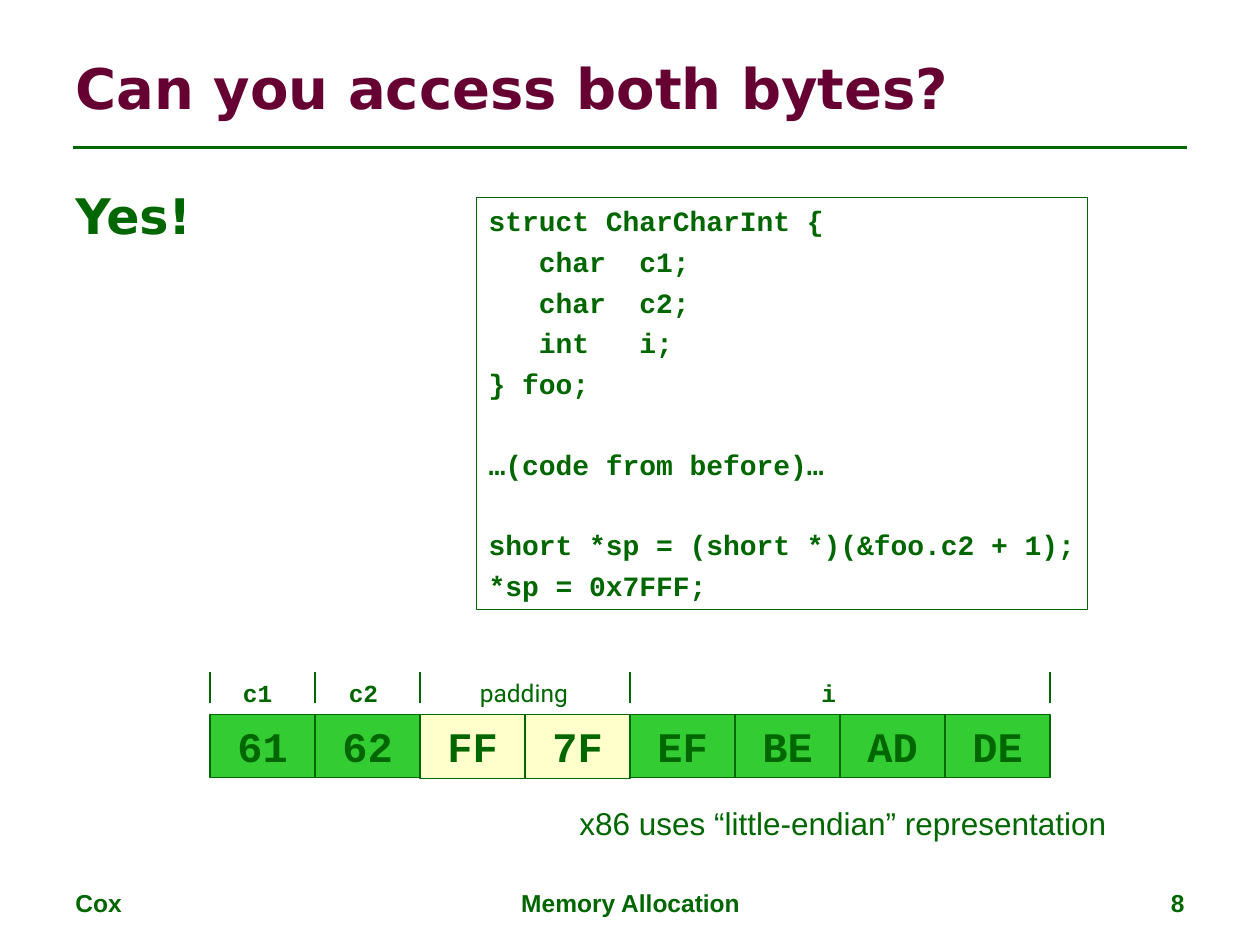
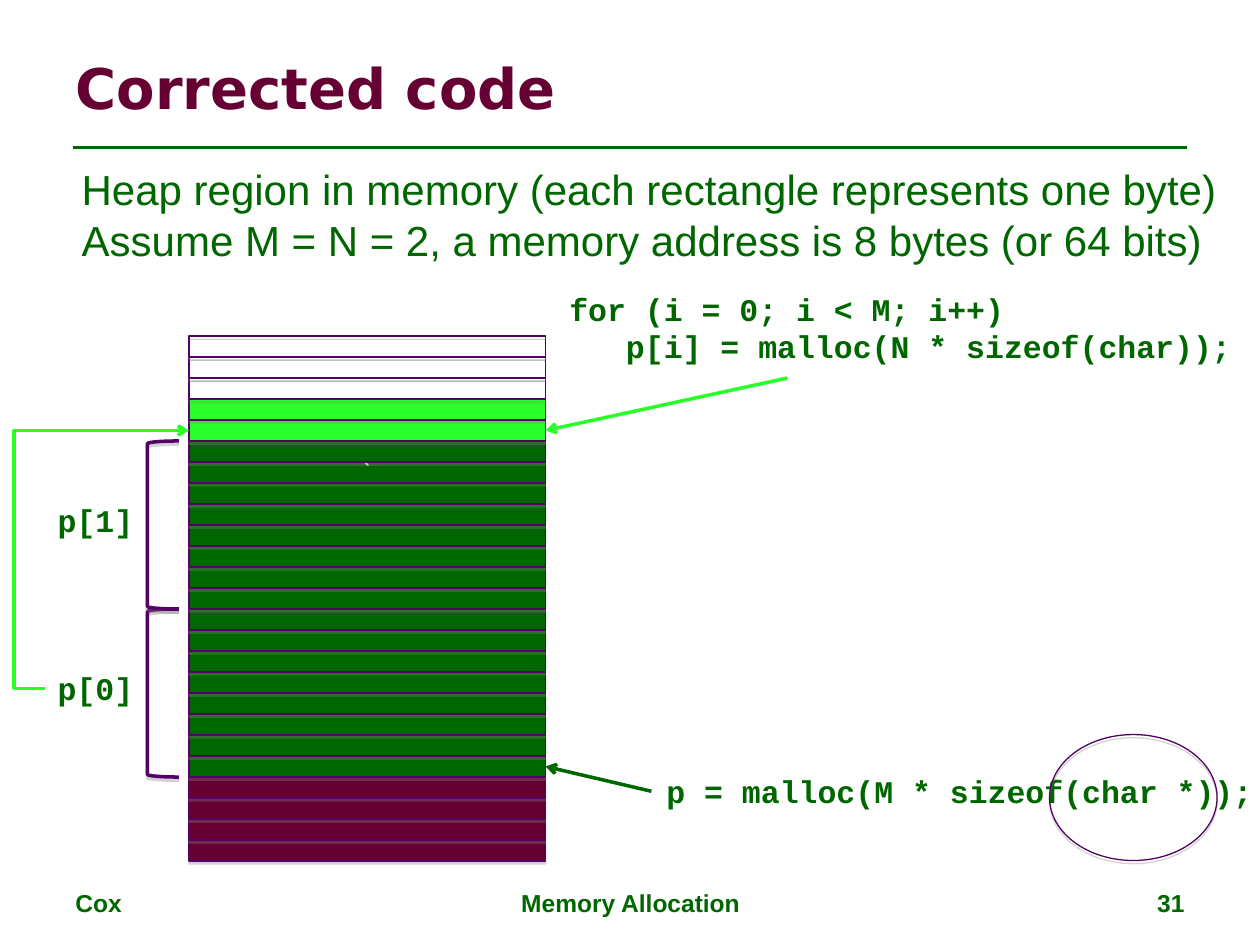
from dataclasses import dataclass
from lxml import etree
from pptx import Presentation
from pptx.dml.color import RGBColor
from pptx.enum.shapes import MSO_CONNECTOR as Link, MSO_SHAPE as Kind
from pptx.enum.text import MSO_ANCHOR as Anchor, MSO_AUTO_SIZE as Fit, PP_ALIGN as Align
from pptx.oxml.ns import qn
from pptx.util import Inches, Pt


@dataclass(frozen=True)
class Theme:
    # Colours
    green: str = "006600"
    wine: str = "660033"
    leaf: str = "33CC33"
    lime: str = "2BFF2B"
    cream: str = "FFFFCC"
    plum: str = "550066"
    grey: str = "808080"
    white: str = "FFFFFF"
    # Fonts
    head: str = "DejaVu Sans"
    sans: str = "Arial"
    mono: str = "Courier New"
    note: str = "Roboto"
    # Type sizes, code spacing and line widths
    title: int = 32
    lead: int = 28
    large: int = 24
    body: int = 18
    code: int = 16
    small: int = 14
    lead_in: int = 4
    gap: int = 27
    thin: float = 0.75
    rule: float = 1.5
    thick: float = 2


T = Theme()

# Content: shared footer
FOOT = [("Cox", 0.5, 2.33, Align.LEFT), ("Memory Allocation", 3.42, 3.17, Align.CENTER)]
PAGE = (7.17, 2.33, Align.RIGHT)

# Content: byte access slide
STRUCT = [
    "struct CharCharInt {",
    "   char  c1;",
    "   char  c2;",
    "   int   i;",
    "} foo;",
    "…(code from before)…",
    "short *sp = (short *)(&foo.c2 + 1);",
    "*sp = 0x7FFF;",
]
BREAKS = (5, 6)  # lines that follow a one-line gap
BYTES = ["61", "62", "FF", "7F", "EF", "BE", "AD", "DE"]
PAD = (2, 3)
TICKS = (0, 1, 2, 4, 8)
LABELS = [
    ("c1", 1.83, 0.43, T.mono),
    ("c2", 2.67, 0.43, T.mono),
    ("i", 6.42, 0.31, T.mono),
    ("padding", 3.71, 0.96, T.note),
]

# Content: heap slide
HEAP = [
    "Heap region in memory (each rectangle represents one byte)",
    "Assume M = N = 2, a memory address is 8 bytes (or 64 bits)",
]
LOOP = ["for (i = 0; i < M; i++)", "   p[i] = malloc(N * sizeof(char));"]
ALLOC = ["p = malloc(M * sizeof(char *));"]
ROWS = [None] * 3 + [T.lime] * 2 + [T.green] * 16 + [T.wine] * 4
TICK_ROW = 6
SLOTS = [("p[0]", 13), ("p[1]", 5)]  # name, first row
SPAN = 8


def rgb(tone):
    return RGBColor.from_string(tone)


def inch(*nums):
    return [Inches(n) for n in nums]


def write(shape, lines, size, face, tone=T.green, bold=True, align=Align.LEFT,
          wrap=True, anchor=Anchor.TOP):
    frame = shape.text_frame
    frame.auto_size = Fit.NONE
    frame.word_wrap = wrap
    frame.vertical_anchor = anchor
    for i, line in enumerate(lines):
        para = frame.paragraphs[0] if i == 0 else frame.add_paragraph()
        para.text = line
        para.alignment = align
        font = para.font
        font.size, font.name, font.bold = Pt(size), face, bold
        font.color.rgb = rgb(tone)
    return shape


def label(slide, box, lines, size, face, **style):
    return write(slide.shapes.add_textbox(*inch(*box)), lines, size, face, **style)


def shade(shape):
    # Soft grey shadow straight below
    fx = etree.SubElement(shape.element.spPr, qn("a:effectLst"))
    drop = etree.SubElement(fx, qn("a:outerShdw"), blurRad="0", dist=str(Pt(1.8)),
                            dir="5400000", rotWithShape="0")
    tint = etree.SubElement(drop, qn("a:srgbClr"), val=T.grey)
    etree.SubElement(tint, qn("a:alpha"), val="35000")


def draw(slide, kind, box, fill=None, edge=T.green, width=T.thin, shadow=False):
    shape = slide.shapes.add_shape(kind, *inch(*box))
    if fill:
        shape.fill.solid()
        shape.fill.fore_color.rgb = rgb(fill)
    else:
        shape.fill.background()
    shape.line.color.rgb = rgb(edge)
    shape.line.width = Pt(width)
    if shadow:
        shade(shape)
    else:
        shape.shadow.inherit = False
    return shape


def join(slide, start, end, tone=T.green, width=T.thin, kind=Link.STRAIGHT, arrow=False):
    line = slide.shapes.add_connector(kind, *inch(*start, *end))
    line.line.color.rgb = rgb(tone)
    line.line.width = Pt(width)
    props = line.element.spPr
    if arrow:
        etree.SubElement(props.find(qn("a:ln")), qn("a:tailEnd"), type="arrow")
    etree.SubElement(props, qn("a:effectLst"))
    return line


def start(deck, title, page):
    # Title, rule and footer shared by all slides
    slide = deck.slides.add_slide(deck.slide_layouts[5])
    head = slide.shapes.title
    head.left, head.top, head.width, head.height = inch(0.5, 0.3, 9, 0.78)
    write(head, [title], T.title, T.head, tone=T.wine, anchor=Anchor.MIDDLE)
    join(slide, (0.58, 1.17), (9.42, 1.17), width=T.rule)
    for text, left, width, align in FOOT + [(page, *PAGE)]:
        label(slide, (left, 7, width, 0.35), [text], T.small, T.sans, align=align)
    return slide


def access(deck):
    slide = start(deck, "Can you access both bytes?", "8")
    label(slide, (0.5, 1.42, 3, 0.6), ["Yes!"], T.lead, T.head)

    # Code listing
    box = draw(slide, Kind.RECTANGLE, (3.78, 1.57, 4.85, 3.27))
    write(box, STRUCT, T.code, T.mono, wrap=False)
    for i, para in enumerate(box.text_frame.paragraphs[1:], 1):
        para.space_before = Pt(T.gap if i in BREAKS else T.lead_in)

    # Byte cells with field marks above
    left, top, step = 5 / 3, 5.67, 5 / 6
    for i, byte in enumerate(BYTES):
        fill, high = (T.cream, 0.51) if i in PAD else (T.leaf, 0.5)
        cell = draw(slide, Kind.RECTANGLE, (left + i * step, top, step, high), fill)
        write(cell, [byte], T.large, T.mono, align=Align.CENTER)
    for i in TICKS:
        x = left + i * step
        join(slide, (x, 5.33), (x, 5.58))
    for text, x, width, face in LABELS:
        label(slide, (x, 5.33, width, 0.34), [text], T.small, face,
              bold=face == T.mono, wrap=False)
    label(slide, (4.5, 6.33, 4.38, 0.4), ["x86 uses “little-endian” representation"],
          T.body, T.sans, bold=False, wrap=False)


def heap(deck):
    slide = start(deck, "Corrected code", "31")
    label(slide, (0.55, 1.25, 9.2, 0.9), HEAP, T.large, T.sans, bold=False, wrap=False)

    # Memory column, stacked from the bottom up
    left, top, wide, step = 1.5, 8 / 3, 2.83, 1 / 6
    cells = {}
    for i in reversed(range(len(ROWS))):
        cells[i] = draw(slide, Kind.RECTANGLE, (left, top + i * step, wide, step),
                        ROWS[i], T.plum, shadow=True)
    write(cells[TICK_ROW], ["`"], T.body, T.head, tone=T.white, bold=False,
          align=Align.CENTER, anchor=Anchor.MIDDLE)

    # Calls and the bytes they return
    label(slide, (5.19, 6.08, 4.85, 0.4), ALLOC, T.body, T.mono, wrap=False)
    label(slide, (4.42, 2.25, 5.83, 0.7), LOOP, T.body, T.mono)
    for tone, row, tip in [(T.green, 20, (5.17, 6.28)), (T.lime, 4, (6.25, 3))]:
        end = (left + wide, top + (row + 0.5) * step)
        line = join(slide, tip, end, tone, T.thick, arrow=True)
        line.end_connect(cells[row], 3)
    draw(slide, Kind.OVAL, (8.33, 5.83, 1.33, 1), edge=T.plum, shadow=True)

    # Pointer slots
    tags = {}
    for name, row in SLOTS:
        y, high = top + row * step, SPAN * step
        tags[name] = label(slide, (0.36, y + 0.43, 0.8, 0.4), [name],
                           T.body, T.mono, wrap=False)
        draw(slide, Kind.LEFT_BRACKET, (1.17, y, 0.25, high), edge=T.plum,
             width=T.thick, shadow=True)

    # Elbow from p[0] round the left side to its bytes
    elbow = join(slide, (0.36, 5.47), (left, 3.42), T.lime, T.thick, Link.ELBOW, True)
    elbow.begin_connect(tags["p[0]"], 1)
    elbow.end_connect(cells[4], 1)
    bend = elbow.element.spPr.find(qn("a:prstGeom")).find(qn("a:avLst"))
    etree.SubElement(bend, qn("a:gd"), name="adj1", fmla="val -21900")


def main():
    deck = Presentation()
    deck.slide_width, deck.slide_height = inch(10, 7.5)
    access(deck)
    heap(deck)
    deck.save("out.pptx")


if __name__ == "__main__":
    main()
